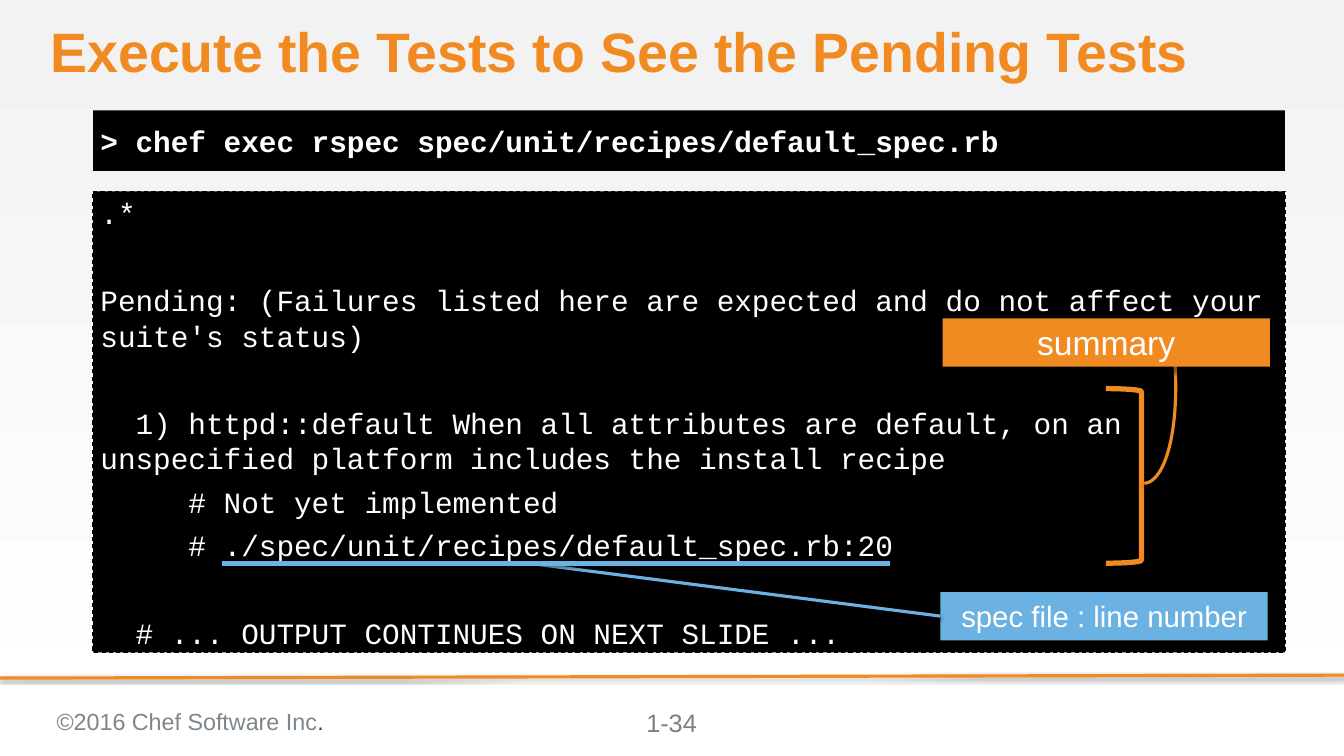
from lxml.etree import SubElement
from pptx import Presentation
from pptx.dml.color import RGBColor
from pptx.enum.dml import MSO_LINE
from pptx.enum.shapes import MSO_CONNECTOR, MSO_SHAPE
from pptx.enum.text import MSO_ANCHOR, PP_ALIGN
from pptx.oxml.ns import qn
from pptx.util import Pt

ORANGE, BLUE, BLACK, WHITE = "F18B21", "6BB2E2", "000000", "FFFFFF"
SANS, MONO = "Arial", "Courier New"
WIDTH, HEIGHT = 1280.16, 720

TITLE = "Execute the Tests to See the Pending Tests"
COMMAND = "> chef exec rspec spec/unit/recipes/default_spec.rb"
# Each block of output is set apart by one line of space
OUTPUT = [
    [".*"],
    ["Pending: (Failures listed here are expected and do not affect your suite's status)"],
    ["  1) httpd::default When all attributes are default, on an "
     "unspecified platform includes the install recipe",
     "     # Not yet implemented",
     "     # ./spec/unit/recipes/default_spec.rb:20"],
    ["  # ... OUTPUT CONTINUES ON NEXT SLIDE ..."],
]
COPYRIGHT = [("©2016 Chef Software Inc", "7D868C"), (".", "3E4346")]
PAGE = "1-34"

TERMINAL_LEFT, TERMINAL_WIDTH = 88.6, 1135.4
LINE_HEIGHT, PARAGRAPH_GAP = 33.6, 8
LABEL_WIDTH, LABEL_HEIGHT = 311.8, 46
SPEC_LEFT, SPEC_TOP = 895.7, 563.8
SUMMARY_LEFT, SUMMARY_TOP = 897.8, 303.1
UNDERLINE_LEFT, UNDERLINE_RIGHT, UNDERLINE_Y = 211.7, 847.4, 536.4
BRACKET_TOP = 370.1

# opacity %, blur, distance
LINE_SHADOW = (35, 3.1, 1.8)
LABEL_SHADOW = (40, 4, 6)


def rgb(value):
    return RGBColor.from_string(value)


def add_shadow(shape, opacity, blur, distance):
    """Cast a black shadow straight down; call after the line is set."""
    effects = SubElement(shape._element.spPr, qn("a:effectLst"))
    outer = SubElement(effects, qn("a:outerShdw"), blurRad=str(Pt(blur)),
                       dist=str(Pt(distance)), dir="5400000", rotWithShape="0")
    colour = SubElement(outer, qn("a:srgbClr"), val=BLACK)
    SubElement(colour, qn("a:alpha"), val=str(opacity * 1000))


def add_run(paragraph, text, size, colour, font=SANS, bold=False):
    run = paragraph.add_run()
    run.text = text
    run.font.name, run.font.size, run.font.bold = font, Pt(size), bold
    run.font.color.rgb = rgb(colour)


def prepare_frame(shape, insets, anchor=MSO_ANCHOR.TOP, align=PP_ALIGN.LEFT):
    """Set up the text frame and return it."""
    frame = shape.text_frame
    frame.word_wrap = True
    frame.vertical_anchor = anchor
    (frame.margin_left, frame.margin_top,
     frame.margin_right, frame.margin_bottom) = map(Pt, insets)
    frame.paragraphs[0].alignment = align
    return frame


def add_text(slide, box, inset, align=PP_ALIGN.LEFT):
    """Add a text box and return its first paragraph."""
    shape = slide.shapes.add_textbox(*map(Pt, box))
    return prepare_frame(shape, [inset] * 4, align=align).paragraphs[0]


def add_block(slide, box, fill):
    shape = slide.shapes.add_shape(MSO_SHAPE.RECTANGLE, *map(Pt, box))
    shape.fill.solid()
    shape.fill.fore_color.rgb = rgb(fill)
    shape.line.fill.background()
    return shape


def add_label(slide, left, top, text, size, fill):
    label = add_block(slide, (left, top, LABEL_WIDTH, LABEL_HEIGHT), fill)
    add_shadow(label, *LABEL_SHADOW)
    frame = prepare_frame(label, [0] * 4, MSO_ANCHOR.MIDDLE, PP_ALIGN.CENTER)
    add_run(frame.paragraphs[0], text, size, WHITE)


def stroke(shape, colour, width):
    shape.line.color.rgb = rgb(colour)
    shape.line.width = Pt(width)
    add_shadow(shape, *LINE_SHADOW)


def add_line(slide, ends, colour, width):
    stroke(slide.shapes.add_connector(MSO_CONNECTOR.STRAIGHT, *map(Pt, ends)),
           colour, width)


def add_outline(slide, kind, box, width, rotation=0):
    shape = slide.shapes.add_shape(kind, *map(Pt, box))
    shape.fill.background()
    shape.rotation = rotation
    stroke(shape, ORANGE, width)


def add_output(slide):
    screen = add_block(slide, (TERMINAL_LEFT, 182.2, TERMINAL_WIDTH, 439.2), BLACK)
    screen.shadow.inherit = False
    screen.line.color.rgb = rgb(BLACK)
    screen.line.width = Pt(1)
    screen.line.dash_style = MSO_LINE.DASH
    frame = prepare_frame(screen, (7.2, 3.6, 7.2, 3.6))
    for b, block in enumerate(OUTPUT):
        for i, line in enumerate(block):
            first = b == i == 0
            paragraph = frame.paragraphs[0] if first else frame.add_paragraph()
            paragraph.alignment = PP_ALIGN.LEFT
            paragraph.line_spacing = Pt(LINE_HEIGHT)
            if not first:
                skipped = LINE_HEIGHT + PARAGRAPH_GAP if i == 0 else 0
                paragraph.space_before = Pt(PARAGRAPH_GAP + skipped)
            add_run(paragraph, line, 28, WHITE, MONO)


def add_command(slide):
    prompt = add_block(slide, (TERMINAL_LEFT, 105.1, TERMINAL_WIDTH, 57.6), BLACK)
    prompt.shadow.inherit = False
    frame = prepare_frame(prompt, (7.2, 0, 0, 0), MSO_ANCHOR.MIDDLE)
    add_run(frame.paragraphs[0], COMMAND, 28, WHITE, MONO, bold=True)


def add_footer(slide):
    add_line(slide, (WIDTH, 643, 0, 645.8), ORANGE, 3)
    notice = add_text(slide, (46.8, 666, 424.8, 37.4), 7.2)
    for text, colour in COPYRIGHT:
        add_run(notice, text, 22.2, colour)
    page = add_text(slide, (583.2, 666, 113, 41), 7.2, PP_ALIGN.CENTER)
    add_run(page, PAGE, 24, "7F7F7F")


def add_callouts(slide):
    add_label(slide, SPEC_LEFT, SPEC_TOP, "spec file : line number", 28, BLUE)
    add_line(slide, (503.3, UNDERLINE_Y, SPEC_LEFT, SPEC_TOP + LABEL_HEIGHT / 2), BLUE, 3)
    add_line(slide, (UNDERLINE_LEFT, UNDERLINE_Y, UNDERLINE_RIGHT, UNDERLINE_Y), BLUE, 5)
    add_outline(slide, MSO_SHAPE.RIGHT_BRACKET,
                (1053.4, BRACKET_TOP, 33.8, UNDERLINE_Y - BRACKET_TOP), 5)
    add_outline(slide, MSO_SHAPE.ARC, (962.6, 304.6, 235.4, 77), 3, rotation=85.3)
    add_label(slide, SUMMARY_LEFT, SUMMARY_TOP, "summary", 32, ORANGE)


def main():
    deck = Presentation()
    deck.slide_width, deck.slide_height = Pt(WIDTH), Pt(HEIGHT)
    slide = deck.slides.add_slide(deck.slide_layouts[6])

    backdrop = slide.background.fill
    backdrop.gradient()
    backdrop.gradient_angle = 270
    for stop, colour in zip(backdrop.gradient_stops, ("F2F2F2", WHITE)):
        stop.color.rgb = rgb(colour)

    add_footer(slide)
    add_output(slide)
    add_command(slide)
    heading = add_text(slide, (48.2, 23.8, 1175.8, 65.5), 0)
    heading.line_spacing = 0.9
    add_run(heading, TITLE, 52.8, ORANGE, bold=True)
    add_callouts(slide)
    deck.save("out.pptx")


if __name__ == "__main__":
    main()
